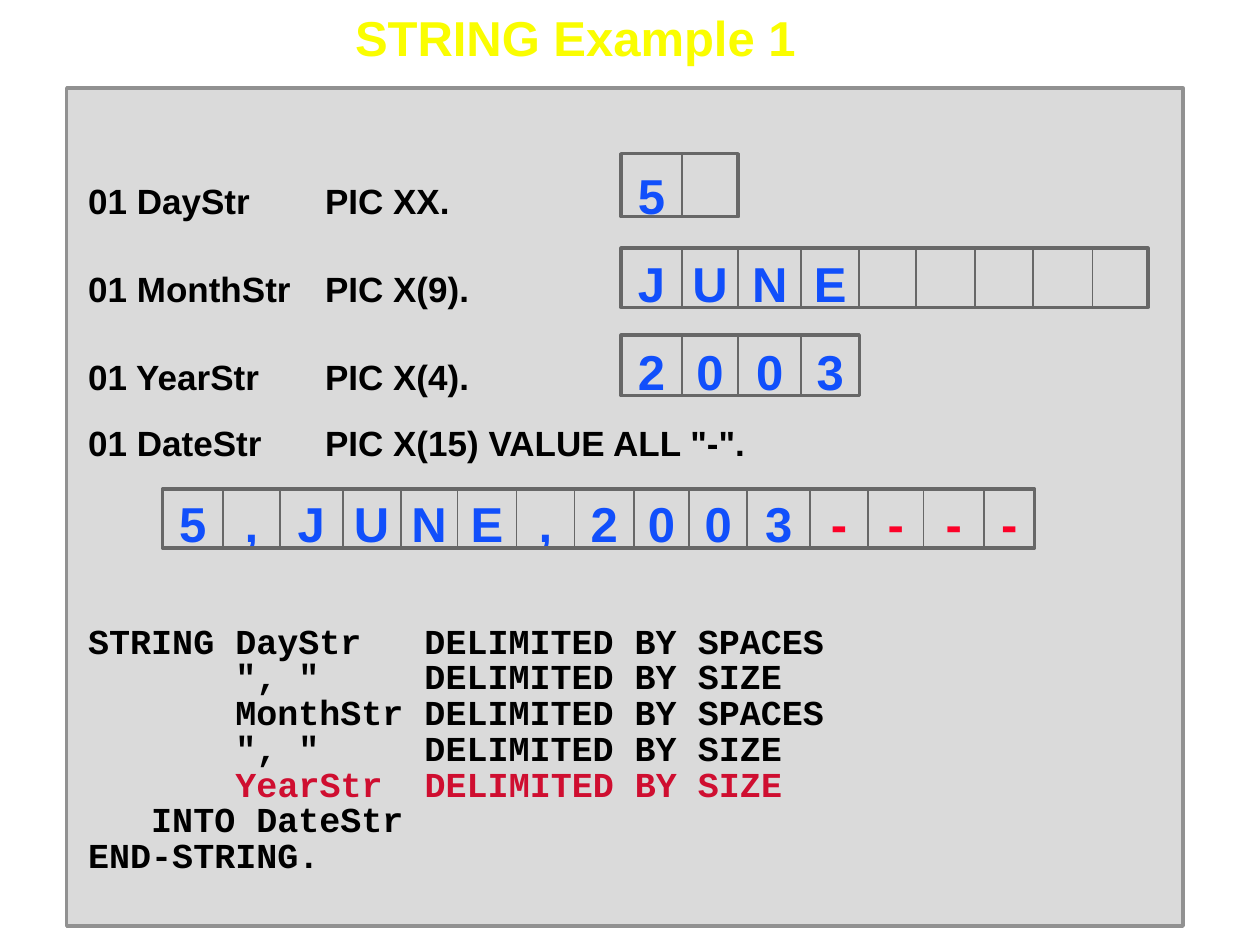
"""Build the STRING Example 1 slide: COBOL fields, their cells and the STRING statement."""
from dataclasses import dataclass

from lxml import etree
from pptx import Presentation
from pptx import util as u
from pptx.dml.color import RGBColor
from pptx.enum import shapes, text
from pptx.oxml import ns

YELLOW = RGBColor(0xFA, 0xFD, 0x00)
PANEL_FILL = RGBColor(0xDA, 0xDA, 0xDA)
PANEL_LINE = RGBColor(0x91, 0x91, 0x91)
CELL_LINE = RGBColor(0x67, 0x67, 0x67)
BLACK = RGBColor(0x00, 0x00, 0x00)
BLUE = RGBColor(0x11, 0x4F, 0xFB)
RED = RGBColor(0xFC, 0x01, 0x28)
CODE_RED = RGBColor(0xCF, 0x0E, 0x30)

PANEL_LEFT = 0.53
PANEL_INSET = 0.17
PICTURE_TAB = 1.88
CELL_EDGES = (0, 0.48, 0.93, 1.43, 1.89, 2.34, 2.81, 3.27, 3.74,
              4.18, 4.64, 5.14, 5.6, 6.04, 6.52, 6.92)


@dataclass(frozen=True)
class CellStrip:
    left: float
    top: float
    height: float
    count: int
    value: str

    def tab_stops(self) -> list[tuple[float, str]]:
        """Return a centred tab stop for every filled cell."""
        origin = self.left - PANEL_LEFT - PANEL_INSET
        pairs = zip(CELL_EDGES, CELL_EDGES[1:])
        return [(origin + (start + end) / 2, "ctr")
                for (start, end), _ in zip(pairs, self.value)]


@dataclass(frozen=True)
class Declaration:
    name: str
    picture: str
    strip: CellStrip | None = None


DECLARATIONS = (
    Declaration("01 DayStr", "PIC XX.", CellStrip(4.93, 1.22, 0.5, 2, "5")),
    Declaration("01 MonthStr", "PIC X(9).", CellStrip(4.93, 1.97, 0.47, 9, "JUNE")),
    Declaration("01 YearStr", "PIC X(4).", CellStrip(4.93, 2.66, 0.48, 4, "2003")),
    Declaration("01 DateStr", 'PIC X(15) VALUE ALL "-".'),
)
DATE_STRIP = CellStrip(1.29, 3.88, 0.47, 15, "5,JUNE,2003----")
CODE_LINES = (
    (("STRING DayStr   DELIMITED BY SPACES", BLACK),),
    (('       ", "     DELIMITED BY SIZE', BLACK),),
    (("       MonthStr DELIMITED BY SPACES", BLACK),),
    (('       ", "     DELIMITED BY SIZE', BLACK),),
    (("       ", BLACK), ("YearStr  DELIMITED BY SIZE", CODE_RED)),
    (("   INTO DateStr", BLACK),),
    (("END-STRING.", BLACK),),
)


def add_run(paragraph, words: str, size: float, color: RGBColor, font: str = "Arial") -> None:
    """Add one bold run to a paragraph."""
    run = paragraph.add_run()
    run.text = words
    run.font.name = font
    run.font.size = u.Pt(size)
    run.font.bold = True
    run.font.color.rgb = color


def set_tabs(paragraph, stops: list[tuple[float, str]]) -> None:
    """Give a paragraph its tab stops."""
    tab_list = etree.SubElement(paragraph._p.get_or_add_pPr(), ns.qn("a:tabLst"))
    for position, alignment in stops:
        etree.SubElement(tab_list, ns.qn("a:tab"),
                         pos=str(int(u.Inches(position))), algn=alignment)


def next_paragraph(frame, spacing: float):
    """Return the first empty paragraph or a new one, aligned left."""
    first = frame.paragraphs[0]
    paragraph = frame.add_paragraph() if first.runs else first
    paragraph.alignment = text.PP_ALIGN.LEFT
    paragraph.line_spacing = spacing
    return paragraph


def add_title(slide) -> None:
    """Add the slide title."""
    shape = slide.shapes.add_textbox(
        u.Inches(2.72), u.Inches(0.06), u.Inches(3.7), u.Inches(0.52))
    frame = shape.text_frame
    frame.word_wrap = False
    frame.vertical_anchor = text.MSO_ANCHOR.BOTTOM
    add_run(next_paragraph(frame, 0.9), "STRING Example 1", 28, YELLOW)


def add_rectangle(slide, left: float, top: float, width: float, height: float,
                  line: RGBColor):
    """Add an unfilled rectangle with a two-point outline."""
    shape = slide.shapes.add_shape(
        shapes.MSO_SHAPE.RECTANGLE,
        u.Inches(left), u.Inches(top), u.Inches(width), u.Inches(height))
    shape.shadow.inherit = False
    shape.fill.background()
    shape.line.color.rgb = line
    shape.line.width = u.Pt(2)
    return shape


def add_values(paragraph, strip: CellStrip) -> None:
    """Write the characters of a strip, one tab stop each."""
    for character in strip.value:
        add_run(paragraph, "\t" + character, 28, RED if character == "-" else BLUE)


def add_panel(slide) -> None:
    """Add the grey panel with the declarations and the statement."""
    shape = add_rectangle(slide, PANEL_LEFT, 0.7, 8.86, 6.65, PANEL_LINE)
    shape.fill.solid()
    shape.fill.fore_color.rgb = PANEL_FILL
    frame = shape.text_frame
    frame.word_wrap = True
    frame.vertical_anchor = text.MSO_ANCHOR.TOP
    frame.margin_left = frame.margin_right = u.Inches(PANEL_INSET)
    frame.margin_top = frame.margin_bottom = u.Inches(0.38)
    for declaration in DECLARATIONS:
        paragraph = next_paragraph(frame, 1.5)
        strip = declaration.strip
        set_tabs(paragraph, [(PICTURE_TAB, "l")] + (strip.tab_stops() if strip else []))
        add_run(paragraph, f"{declaration.name}\t{declaration.picture}", 20, BLACK)
        if strip:
            add_values(paragraph, strip)
    paragraph = next_paragraph(frame, 1.5)
    set_tabs(paragraph, DATE_STRIP.tab_stops())
    add_values(paragraph, DATE_STRIP)
    for index, line in enumerate(CODE_LINES):
        paragraph = next_paragraph(frame, 0.85)
        if index == 0:
            paragraph.space_before = u.Pt(42)
        for words, color in line:
            add_run(paragraph, words, 20, color, "Courier New")


def add_strip(slide, strip: CellStrip) -> None:
    """Draw the outline and the dividers of a strip of cells."""
    add_rectangle(slide, strip.left, strip.top, CELL_EDGES[strip.count],
                  strip.height, CELL_LINE)
    for edge in CELL_EDGES[1:strip.count]:
        x = u.Inches(strip.left + edge)
        divider = slide.shapes.add_connector(
            shapes.MSO_CONNECTOR.STRAIGHT,
            x, u.Inches(strip.top), x, u.Inches(strip.top + strip.height))
        divider.line.color.rgb = CELL_LINE
        divider.line.width = u.Pt(1)
        etree.SubElement(divider._element.spPr, ns.qn("a:effectLst"))


def main() -> None:
    """Build and save the presentation."""
    presentation = Presentation()
    presentation.slide_width = u.Inches(10)
    presentation.slide_height = u.Inches(7.5)
    slide = presentation.slides.add_slide(presentation.slide_layouts[6])
    add_title(slide)
    add_panel(slide)
    for declaration in DECLARATIONS:
        if declaration.strip:
            add_strip(slide, declaration.strip)
    add_strip(slide, DATE_STRIP)
    presentation.save("out.pptx")


if __name__ == "__main__":
    main()
